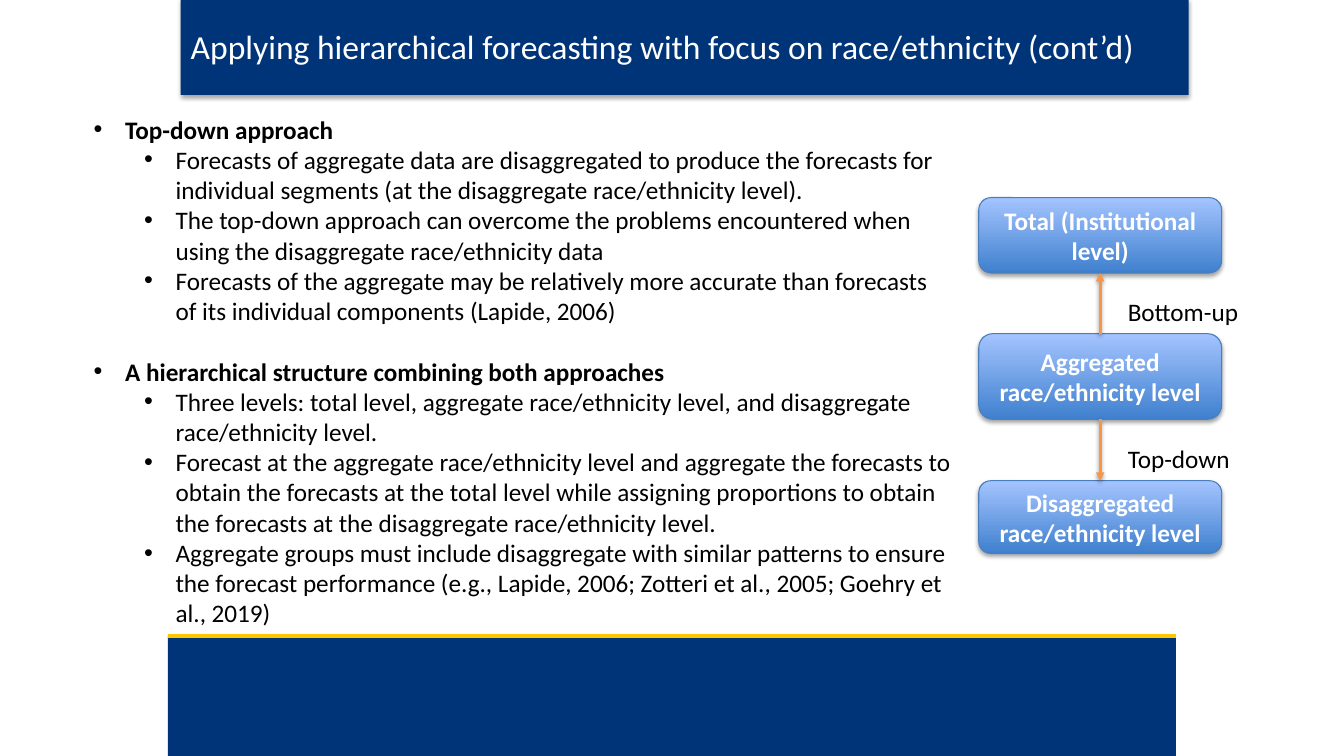
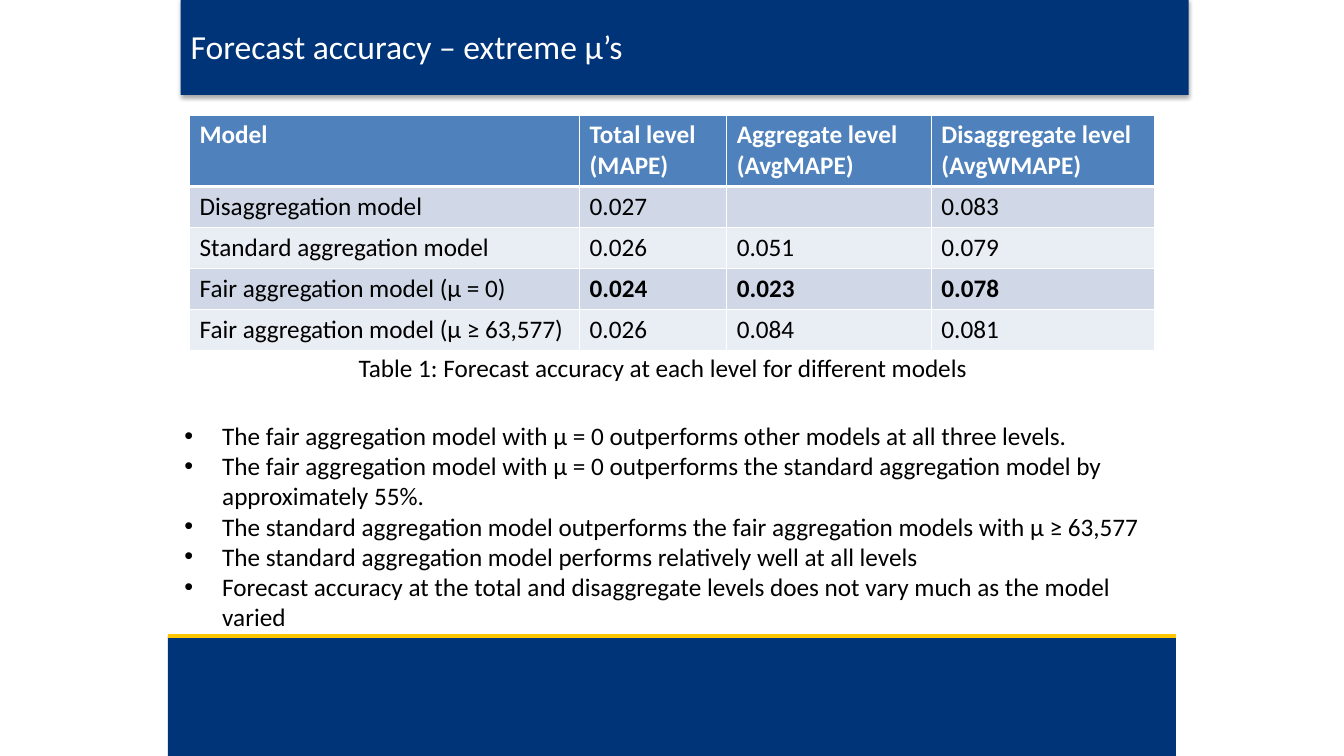
from dataclasses import dataclass

import lxml.etree
import pptx
import pptx.dml.color
import pptx.enum.dml
import pptx.enum.shapes
import pptx.enum.text
import pptx.oxml.ns
import pptx.presentation
import pptx.shapes.autoshape
import pptx.shapes.base
import pptx.shapes.connector
import pptx.slide
import pptx.table
import pptx.text.text
import pptx.util

Pt = pptx.util.Pt
RGBColor = pptx.dml.color.RGBColor
Align = pptx.enum.text.PP_ALIGN
Preset = pptx.enum.shapes.MSO_SHAPE

NAVY = RGBColor(0x00, 0x34, 0x78)
GOLD = RGBColor(0xFF, 0xC6, 0x00)
WHITE = RGBColor(0xFF, 0xFF, 0xFF)
BLACK = RGBColor(0x00, 0x00, 0x00)
ORANGE = RGBColor(0xF7, 0x96, 0x46)
BOX_BOTTOM = RGBColor(0x3F, 0x80, 0xCE)
BOX_TOP = RGBColor(0xA4, 0xC4, 0xFF)
BOX_EDGE = RGBColor(0x4B, 0x7E, 0xBC)
HEADER_BLUE = RGBColor(0x4F, 0x81, 0xBD)
STRIPES = (RGBColor(0xD0, 0xD8, 0xE8), RGBColor(0xE9, 0xED, 0xF4))

FONT = "Calibri"
TITLE_SIZE = 24
BODY_SIZE = 18
TITLE_ONLY = 5
FOOTER_LEFT, FOOTER_TOP, BAND_WIDTH, FOOTER_HEIGHT = 120, 454.3, 720, 85.7
TITLE_LEFT, TITLE_TOP, TITLE_HEIGHT = 129, -1.4, 69.1


@dataclass(frozen=True)
class Frame:
    left: float
    top: float
    width: float
    height: float

    def lengths(self) -> tuple[pptx.util.Length, ...]:
        return tuple(Pt(value) for value in (self.left, self.top, self.width, self.height))


@dataclass(frozen=True)
class Bullet:
    text: str
    level: int = 0
    bold: bool = False
    space_before: float = 0


@dataclass(frozen=True)
class LevelBox:
    text: str
    top: float
    height: float


@dataclass(frozen=True)
class ModelRow:
    cells: tuple[str, str, str, str]
    best: bool = False


APPROACHES = (
    Bullet("Top-down approach", bold=True),
    Bullet("Forecasts of aggregate data are disaggregated to produce the forecasts for "
           "individual segments (at the disaggregate race/ethnicity level).", 1),
    Bullet("The top-down approach can overcome the problems encountered when using the "
           "disaggregate race/ethnicity data", 1),
    Bullet("Forecasts of the aggregate may be relatively more accurate than forecasts of its "
           "individual components (Lapide, 2006)", 1),
    Bullet("A hierarchical structure combining both approaches", bold=True, space_before=21.6),
    Bullet("Three levels: total level, aggregate race/ethnicity level, and disaggregate "
           "race/ethnicity level.", 1),
    Bullet("Forecast at the aggregate race/ethnicity level and aggregate the forecasts to obtain "
           "the forecasts at the total level while assigning proportions to obtain the forecasts "
           "at the disaggregate race/ethnicity level.", 1),
    Bullet("Aggregate groups must include disaggregate with similar patterns to ensure the "
           "forecast performance (e.g., Lapide, 2006; Zotteri et al., 2005; Goehry et al., 2019)", 1),
)

LEVEL_LEFT, LEVEL_WIDTH = 699.1, 173.5
LEVELS = (
    LevelBox("Total (Institutional level)", 141.1, 53.9),
    LevelBox("Aggregated race/ethnicity level", 238.3, 61.2),
    LevelBox("Disaggregated race/ethnicity level", 343.4, 52),
)

TABLE_HEADER = ("Model", "Total level (MAPE)", "Aggregate level (AvgMAPE)",
                "Disaggregate level (AvgWMAPE)")
MODEL_ROWS = (
    ModelRow(("Disaggregation model", "0.027", "", "0.083")),
    ModelRow(("Standard aggregation model", "0.026", "0.051", "0.079")),
    ModelRow(("Fair aggregation model (µ = 0)", "0.024", "0.023", "0.078"), best=True),
    ModelRow(("Fair aggregation model (µ ≥ 63,577)", "0.026", "0.084", "0.081")),
)
COLUMN_WIDTHS = (278.6, 105.1, 146.2, 159.8)
HEADER_HEIGHT, ROW_HEIGHT = 51.2, 29.2

FINDINGS = (
    Bullet("The fair aggregation model with µ = 0 outperforms other models at all three levels."),
    Bullet("The fair aggregation model with µ = 0 outperforms the standard aggregation model by "
           "approximately 55%."),
    Bullet("The standard aggregation model outperforms the fair aggregation models with µ ≥ 63,577"),
    Bullet("The standard aggregation model performs relatively well at all levels"),
    Bullet("Forecast accuracy at the total and disaggregate levels does not vary much as the model "
           "varied"),
)


def add_child(parent: lxml.etree._Element, tag: str, **attributes: object) -> lxml.etree._Element:
    values = {name: str(value) for name, value in attributes.items()}
    return lxml.etree.SubElement(parent, pptx.oxml.ns.qn(tag), values)


def set_shadow(shape: pptx.shapes.base.BaseShape, opacity: int = 35, distance: float = 1.8) -> None:
    effects = add_child(shape._element.spPr, "a:effectLst")
    shadow = add_child(effects, "a:outerShdw", blurRad=Pt(3.1), dist=Pt(distance),
                       dir=90 * 60000, rotWithShape=0)
    color = add_child(shadow, "a:srgbClr", val=BLACK)
    add_child(color, "a:alpha", val=opacity * 1000)


def style_para(para: pptx.text.text._Paragraph, color: RGBColor = BLACK,
               size: float = BODY_SIZE, bold: bool = False) -> None:
    font = para.font
    font.name, font.size, font.bold = FONT, Pt(size), bold
    font.color.rgb = color


def add_text(page: pptx.slide.Slide, frame: Frame, text: str) -> pptx.text.text.TextFrame:
    text_frame = page.shapes.add_textbox(*frame.lengths()).text_frame
    text_frame.word_wrap = True
    text_frame.text = text
    style_para(text_frame.paragraphs[0])
    return text_frame


def add_bullets(page: pptx.slide.Slide, frame: Frame, bullets: tuple[Bullet, ...],
                hanging: float) -> None:
    text_frame = add_text(page, frame, "\n".join(bullet.text for bullet in bullets))
    for para, bullet in zip(text_frame.paragraphs, bullets):
        para.level = bullet.level
        para.space_before = Pt(bullet.space_before)
        style_para(para, bold=bullet.bold)
        properties = para._p.get_or_add_pPr()
        properties.set("marL", str(Pt(hanging + 36 * bullet.level)))
        properties.set("indent", str(-Pt(hanging)))
        defaults = properties.find(pptx.oxml.ns.qn("a:defRPr"))
        defaults.addprevious(add_child(properties, "a:buFont", typeface="Arial"))
        defaults.addprevious(add_child(properties, "a:buChar", char="•"))


def add_line(page: pptx.slide.Slide, color: RGBColor, width: float, left: float = 0,
             top: float = 0, right: float = 0) -> pptx.shapes.connector.Connector:
    line = page.shapes.add_connector(pptx.enum.shapes.MSO_CONNECTOR.STRAIGHT,
                                     Pt(left), Pt(top), Pt(right), Pt(top))
    line.line.color.rgb = color
    line.line.width = Pt(width)
    return line


def add_page(deck: pptx.presentation.Presentation, title: str) -> pptx.slide.Slide:
    page = deck.slides.add_slide(deck.slide_layouts[TITLE_ONLY])
    footer_frame = Frame(FOOTER_LEFT, FOOTER_TOP, BAND_WIDTH, FOOTER_HEIGHT)
    footer = page.shapes.add_shape(Preset.RECTANGLE, *footer_frame.lengths())
    footer.shadow.inherit = False
    footer.fill.solid()
    footer.fill.fore_color.rgb = NAVY
    footer.line.fill.background()
    rule = add_line(page, GOLD, 3, FOOTER_LEFT, FOOTER_TOP, FOOTER_LEFT + BAND_WIDTH)
    add_child(rule._element.spPr, "a:effectLst")

    band = page.shapes.title
    band_frame = Frame(TITLE_LEFT, TITLE_TOP, BAND_WIDTH, TITLE_HEIGHT)
    band.left, band.top, band.width, band.height = band_frame.lengths()
    band.fill.solid()
    band.fill.fore_color.rgb = NAVY
    set_shadow(band)
    band.text_frame.text = title
    band.text_frame.auto_size = pptx.enum.text.MSO_AUTO_SIZE.NONE
    band.text_frame.vertical_anchor = pptx.enum.text.MSO_ANCHOR.MIDDLE
    para = band.text_frame.paragraphs[0]
    para.alignment = Align.LEFT
    style_para(para, WHITE, TITLE_SIZE)
    return page


def add_level(page: pptx.slide.Slide, level: LevelBox) -> pptx.shapes.autoshape.Shape:
    frame = Frame(LEVEL_LEFT, level.top, LEVEL_WIDTH, level.height)
    box = page.shapes.add_shape(Preset.ROUNDED_RECTANGLE, *frame.lengths())
    box.fill.gradient()
    box.fill.gradient_angle = 90
    for stop, color in zip(box.fill.gradient_stops, (BOX_BOTTOM, BOX_TOP)):
        stop.color.rgb = color
    box.line.color.rgb = BOX_EDGE
    box.line.width = Pt(0.75)
    set_shadow(box)
    box.text_frame.text = level.text
    box.text_frame.vertical_anchor = pptx.enum.text.MSO_ANCHOR.MIDDLE
    para = box.text_frame.paragraphs[0]
    para.alignment = Align.CENTER
    style_para(para, WHITE, bold=True)
    return box


def add_arrow(page: pptx.slide.Slide, start: pptx.shapes.autoshape.Shape, start_site: int,
              end: pptx.shapes.autoshape.Shape, end_site: int) -> None:
    arrow = add_line(page, ORANGE, 2)
    arrow.begin_connect(start, start_site)
    arrow.end_connect(end, end_site)
    add_child(arrow.line._get_or_add_ln(), "a:tailEnd", type="triangle")
    set_shadow(arrow, opacity=38, distance=1.6)


def fill_cell(cell: pptx.table._Cell, text: str, fill: RGBColor, color: RGBColor,
              bold: bool, top_width: float, bottom_width: float) -> None:
    properties = cell._tc.get_or_add_tcPr()
    for side, width in (("L", 1), ("R", 1), ("T", top_width), ("B", bottom_width)):
        border = add_child(properties, f"a:ln{side}", w=Pt(width))
        add_child(add_child(border, "a:solidFill"), "a:srgbClr", val=WHITE)
    cell.fill.solid()
    cell.fill.fore_color.rgb = fill
    cell.text = text
    style_para(cell.text_frame.paragraphs[0], color, bold=bold)


def add_accuracy_table(page: pptx.slide.Slide, left: float, top: float) -> None:
    frame = Frame(left, top, sum(COLUMN_WIDTHS), HEADER_HEIGHT + ROW_HEIGHT * len(MODEL_ROWS))
    table = page.shapes.add_table(len(MODEL_ROWS) + 1, len(COLUMN_WIDTHS), *frame.lengths()).table
    table.horz_banding = False
    for column, width in zip(table.columns, COLUMN_WIDTHS):
        column.width = Pt(width)
    for index, row in enumerate(table.rows):
        row.height = Pt(ROW_HEIGHT if index else HEADER_HEIGHT)
    for column, text in enumerate(TABLE_HEADER):
        fill_cell(table.cell(0, column), text, HEADER_BLUE, WHITE, True, 1, 3)
    for index, model in enumerate(MODEL_ROWS):
        for column, text in enumerate(model.cells):
            fill_cell(table.cell(index + 1, column), text, STRIPES[index % 2], BLACK,
                      model.best and column > 0, 1 if index else 3, 1)


def build_approach_page(deck: pptx.presentation.Presentation) -> None:
    page = add_page(deck, "Applying hierarchical forecasting with focus on race/ethnicity (cont’d)")
    add_bullets(page, Frame(59.8, 77.8, 627.8, 378), APPROACHES, 22.5)
    total, aggregated, disaggregated = [add_level(page, level) for level in LEVELS]
    add_arrow(page, aggregated, 0, total, 2)
    add_arrow(page, aggregated, 2, disaggregated, 0)
    for text, top in (("Bottom-up", 208.1), ("Top-down", 313.2)):
        add_text(page, Frame(798.5, top, 126.7, 28.8), text)


def build_accuracy_page(deck: pptx.presentation.Presentation) -> None:
    page = add_page(deck, "Forecast accuracy – extreme µ’s")
    add_accuracy_table(page, 135.4, 82.1)
    add_bullets(page, Frame(124.6, 296.6, 711.4, 159.8), FINDINGS, 27)
    add_text(page, Frame(249.1, 248.4, 480.2, 28.8),
             "Table 1: Forecast accuracy at each level for different models")


def main() -> None:
    deck = pptx.Presentation()
    deck.slide_width, deck.slide_height = Pt(960), Pt(540)
    build_approach_page(deck)
    build_accuracy_page(deck)
    deck.save("out.pptx")


if __name__ == "__main__":
    main()
